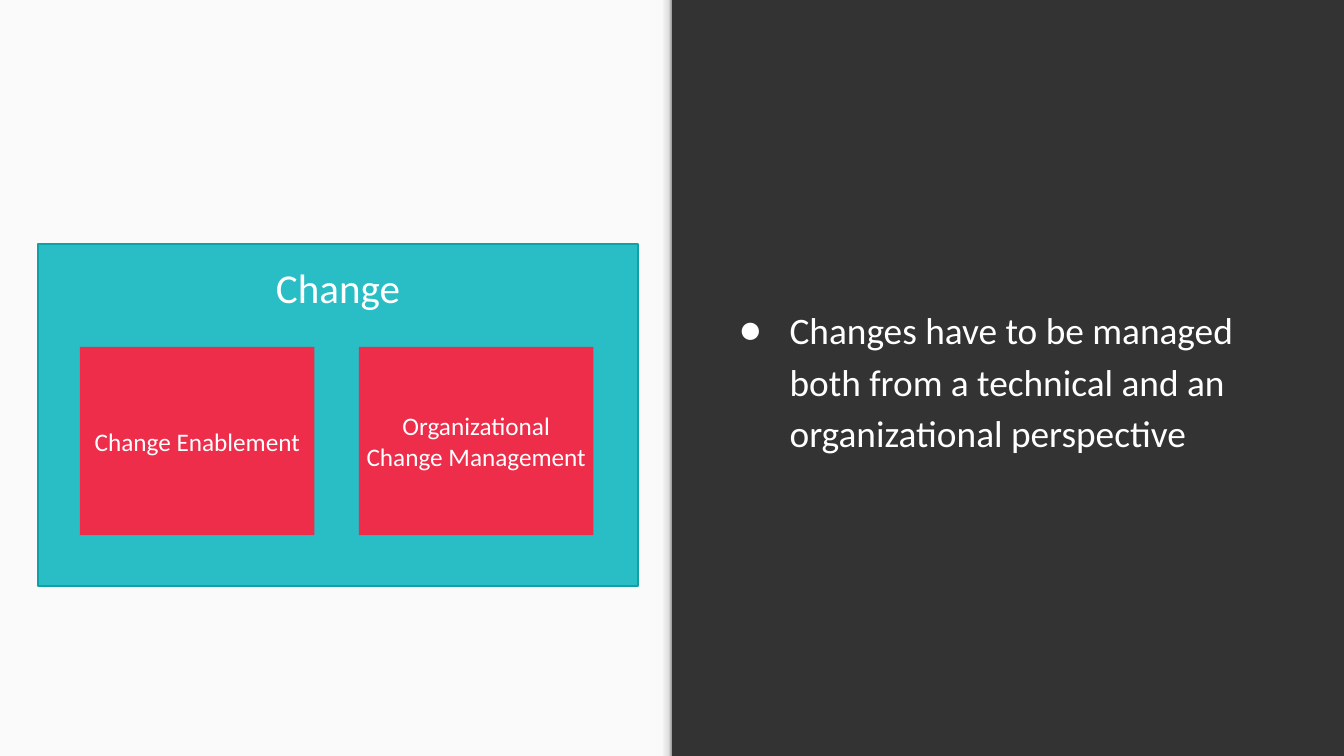
from copy import deepcopy

from pptx import Presentation
from pptx.dml.color import RGBColor
from pptx.enum import shapes, text
from pptx.oxml import ns, parse_xml
from pptx.util import Inches, Pt

COLORS = {
    "dark": "333333",
    "light": "FAFAFA",
    "teal": "29BEC6",
    "teal_edge": "10A1A6",
    "red": "EE2D4A",
    "white": "FFFFFF",
}
SHADOW_STOPS = [(0, "F9F9F9"), (0.36, "F9F9F9"), (0.8, "DEDEDE"), (1, "999999")]
WIDTH, HEIGHT = 20, 11.244


def rgb(name):
    """Return the named palette colour."""
    return RGBColor.from_string(COLORS[name])


def style_font(paragraph, size):
    """Set the shared white font at the given size."""
    paragraph.font.name = "Calibri"
    paragraph.font.size = Pt(size)
    paragraph.font.color.rgb = rgb("white")


def add_panel(slide, box, fill, label="", size=27, edge=None):
    """Draw a filled rectangle with an optional centred label."""
    panel = slide.shapes.add_shape(
        shapes.MSO_SHAPE.RECTANGLE, *(Inches(length) for length in box)
    )
    panel.shadow.inherit = False
    panel.fill.solid()
    panel.fill.fore_color.rgb = rgb(fill)
    if edge:
        panel.line.color.rgb = rgb(edge)
        panel.line.width = Pt(2)
    else:
        panel.line.fill.background()
    if label:
        paragraph = panel.text_frame.paragraphs[0]
        paragraph.text = label
        paragraph.alignment = text.PP_ALIGN.CENTER
        style_font(paragraph, size)
    return panel


def add_light_half(slide, left, top, width, height):
    """Draw the light half with a soft shadow along its right edge."""
    add_panel(slide, (left, top, width, height), "light")
    depth = 0.24
    shadow = add_panel(slide, (left + width - depth, top, depth, height), "light")
    shadow.fill.gradient()
    shadow.fill.gradient_angle = 0
    stop_list = shadow.fill.gradient_stops[0]._gs.getparent()
    for _ in SHADOW_STOPS[2:]:
        stop_list.append(deepcopy(stop_list[0]))
    for stop, (position, color) in zip(shadow.fill.gradient_stops, SHADOW_STOPS):
        stop.position = position
        stop.color.rgb = RGBColor.from_string(color)


def add_change_diagram(slide, left, top, width, height):
    """Draw the change panel with its two disciplines."""
    change = add_panel(
        slide, (left, top, width, height), "teal", "Change", 44, "teal_edge"
    )
    change.text_frame.vertical_anchor = text.MSO_ANCHOR.TOP
    change.text_frame.margin_top = Inches(0.28)
    disciplines = ["Change Enablement", "Organizational Change Management"]
    for column, discipline in enumerate(disciplines):
        box = (left + 0.62 + column * 4.15, top + 1.53, 3.49, 2.8)
        card = add_panel(slide, box, "red", discipline)
        card.text_frame.vertical_anchor = text.MSO_ANCHOR.MIDDLE


def add_message(slide, left, top, width, height):
    """Place the bulleted message, vertically centred in its box."""
    message = slide.shapes.add_textbox(
        Inches(left), Inches(top), Inches(width), Inches(height)
    )
    frame = message.text_frame
    frame.word_wrap = True
    frame.vertical_anchor = text.MSO_ANCHOR.MIDDLE
    for side in ("left", "top", "right", "bottom"):
        setattr(frame, f"margin_{side}", Inches(0.2))
    paragraph = frame.paragraphs[0]
    paragraph.text = (
        "Changes have to be managed both from a technical "
        "and an organizational perspective"
    )
    paragraph.line_spacing = 1.15
    paragraph.space_after = Pt(16)
    properties = paragraph._p.get_or_add_pPr()
    properties.set("marL", str(Inches(0.75)))
    properties.set("indent", str(Inches(-0.75)))
    namespace = ns.nsdecls("a")
    for bullet_part in (
        f'<a:buClr {namespace}><a:srgbClr val="{COLORS["white"]}"/></a:buClr>',
        f'<a:buFont {namespace} typeface="Calibri"/>',
        f'<a:buChar {namespace} char="●"/>',
    ):
        properties.append(parse_xml(bullet_part))
    style_font(paragraph, 40)


def main():
    """Build and save the presentation."""
    deck = Presentation()
    deck.slide_width, deck.slide_height = Inches(WIDTH), Inches(HEIGHT)
    slide = deck.slides.add_slide(deck.slide_layouts[6])
    slide.background.fill.solid()
    slide.background.fill.fore_color.rgb = rgb("dark")
    add_light_half(slide, 0, 0, WIDTH / 2, HEIGHT)
    add_message(slide, 10.8, 1.59, 8.39, 8.07)
    add_change_diagram(slide, 0.57, 3.63, 8.92, 5.08)
    deck.save("out.pptx")


if __name__ == "__main__":
    main()
